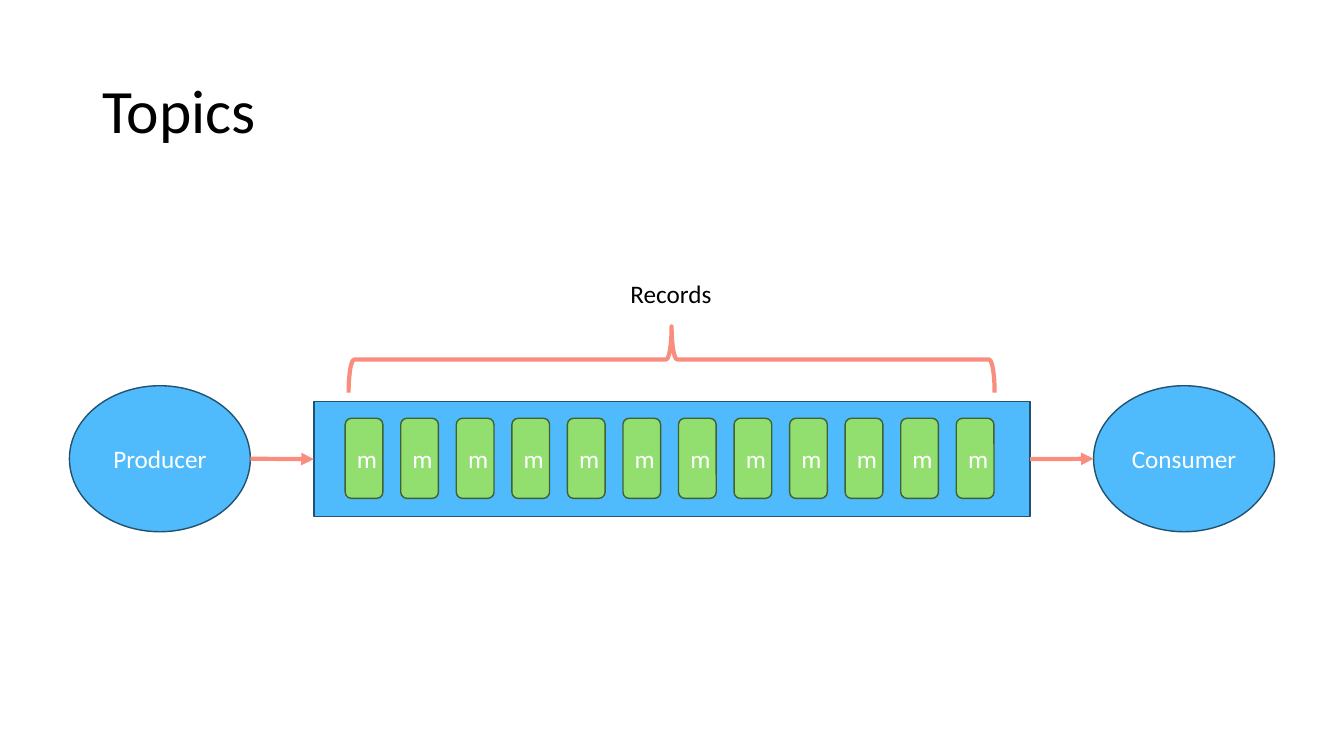
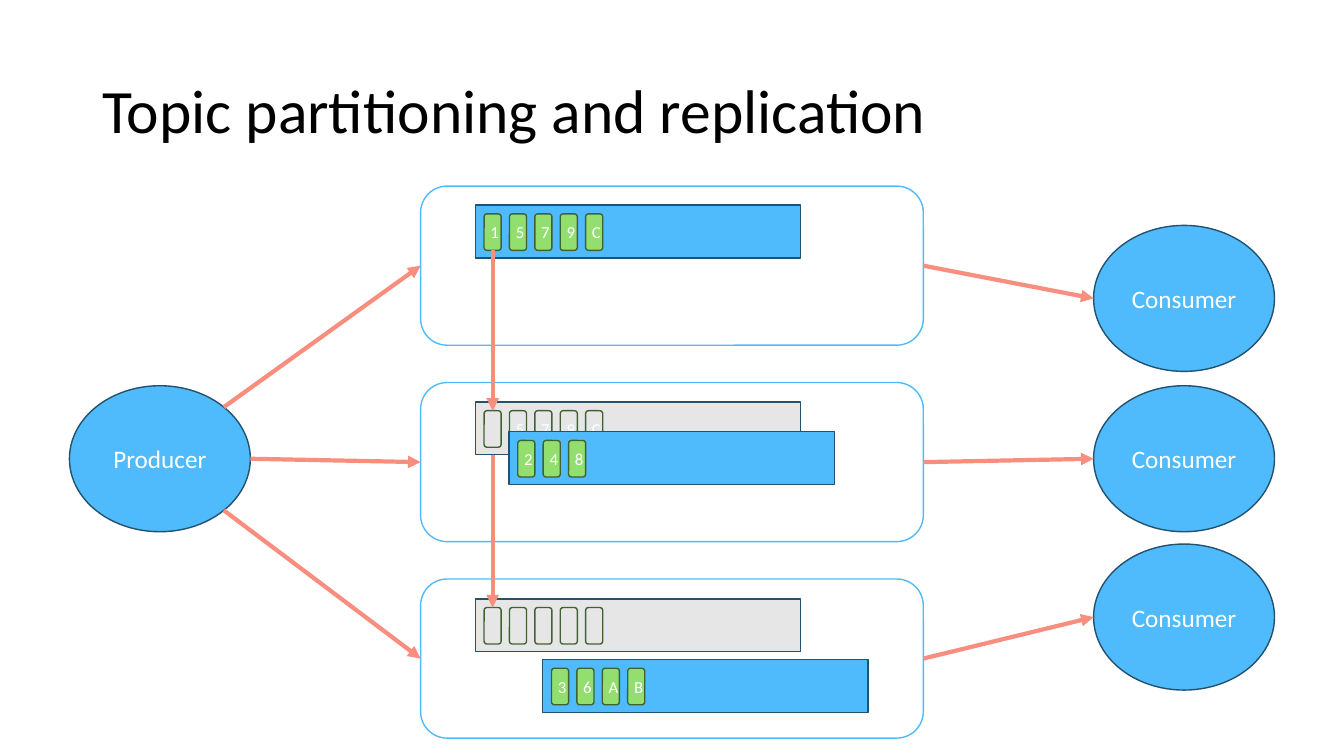
from dataclasses import dataclass
from math import cos, radians, sin
from typing import NamedTuple, Optional, Sequence, Union

from lxml.etree import SubElement
from pptx import Presentation
from pptx.dml.color import RGBColor
from pptx.enum.shapes import MSO_CONNECTOR, MSO_SHAPE
from pptx.enum.text import MSO_ANCHOR, MSO_AUTO_SIZE, PP_ALIGN
from pptx.oxml.ns import qn
from pptx.shapes.autoshape import Shape
from pptx.shapes.connector import Connector
from pptx.slide import Slide
from pptx.text.text import TextFrame
from pptx.util import Cm, Length, Pt

BLUE = RGBColor(0x4F, 0xBA, 0xFC)
DARK_BLUE = RGBColor(0x23, 0x52, 0x6E)
GREEN = RGBColor(0x92, 0xDF, 0x70)
DARK_GREEN = RGBColor(0x40, 0x62, 0x31)
CORAL = RGBColor(0xF9, 0x8D, 0x7E)
GREY = RGBColor(0xE7, 0xE6, 0xE6)
WHITE = RGBColor(0xFF, 0xFF, 0xFF)
BLACK = RGBColor(0x00, 0x00, 0x00)
FONT = "Calibri"

TOP, LEFT, BOTTOM, RIGHT = range(4)

PRODUCER_LEFT = 1.75
CONSUMER_LEFT = 27.56
MIDDLE_CLIENT_TOP = 9.72


class Area(NamedTuple):
    """Left, top, width and height in centimetres."""
    left: float
    top: float
    width: float
    height: float

    def lengths(self) -> list[Length]:
        return [Cm(value) for value in self]


class Point(NamedTuple):
    x: Length
    y: Length


class Joint(NamedTuple):
    """The middle of one side of a rectangle."""
    shape: Shape
    side: int


@dataclass(frozen=True)
class QueueStyle:
    """Size of a queue and of the records in it, in centimetres."""
    width: float
    height: float
    first_record: float
    record_top: float
    record_width: float
    record_height: float
    pitch: float
    text_size: int


@dataclass(frozen=True)
class Queue:
    """A queue with one label, possibly empty, for each record."""
    left: float
    top: float
    records: Sequence[str]
    style: QueueStyle
    replica: bool = False


TOPIC = QueueStyle(18.05, 2.9, 0.79, 0.42, 0.95, 2.02, 1.4, 18)
PARTITION = QueueStyle(8.2, 1.33, 0.22, 0.22, 0.43, 0.92, 0.64, 12)


def format_text(frame: TextFrame, text: str, size: int, color: RGBColor) -> None:
    frame.text = text
    font = frame.paragraphs[0].runs[0].font
    font.name = FONT
    font.size = Pt(size)
    font.color.rgb = color


def add_title(page: Slide, text: str) -> None:
    box = page.shapes.add_textbox(*Area(2.33, 1.01, 29.21, 3.68).lengths())
    frame = box.text_frame
    frame.word_wrap = True
    frame.vertical_anchor = MSO_ANCHOR.MIDDLE
    format_text(frame, text, 44, BLACK)
    frame.paragraphs[0].line_spacing = 0.9


def add_figure(shapes, preset: MSO_SHAPE, area: Area, fill: Optional[RGBColor],
               line: RGBColor, text: str = "", size: int = 18,
               weight: float = 1) -> Shape:
    """Add a preset shape to a page's or a group's shapes."""
    figure = shapes.add_shape(preset, *area.lengths())
    figure.shadow.inherit = False
    if fill is None:
        figure.fill.background()
    else:
        figure.fill.solid()
        figure.fill.fore_color.rgb = fill
    figure.line.color.rgb = line
    figure.line.width = Pt(weight)
    if text:
        frame = figure.text_frame
        frame.vertical_anchor = MSO_ANCHOR.MIDDLE
        format_text(frame, text, size, WHITE)
        frame.paragraphs[0].alignment = PP_ALIGN.CENTER
    return figure


def add_client(page: Slide, name: str, left: float,
               top: float = MIDDLE_CLIENT_TOP) -> Shape:
    return add_figure(page.shapes, MSO_SHAPE.OVAL, Area(left, top, 4.56, 3.68),
                      BLUE, DARK_BLUE, name)


def add_queue(page: Slide, queue: Queue) -> tuple[Shape, Shape]:
    """Draw a queue with its records; return its bar and first record."""
    style = queue.style
    shapes = page.shapes.add_group_shape().shapes
    bar = add_figure(shapes, MSO_SHAPE.RECTANGLE,
                     Area(queue.left, queue.top, style.width, style.height),
                     GREY if queue.replica else BLUE, DARK_BLUE)
    records = [
        add_figure(shapes, MSO_SHAPE.ROUNDED_RECTANGLE,
                   Area(queue.left + style.first_record + index * style.pitch,
                        queue.top + style.record_top,
                        style.record_width, style.record_height),
                   GREY if queue.replica else GREEN, DARK_GREEN,
                   label, style.text_size)
        for index, label in enumerate(queue.records)
    ]
    return bar, records[0]


def rim_point(ellipse: Shape, degrees: float) -> Point:
    """Point on an ellipse, clockwise from its right end."""
    across, down = ellipse.width / 2, ellipse.height / 2
    angle = radians(degrees)
    return Point(Length(round(ellipse.left + across * (1 + cos(angle)))),
                 Length(round(ellipse.top + down * (1 + sin(angle)))))


def add_arrow(page: Slide, start: Union[Point, Joint],
              end: Union[Point, Joint]) -> Connector:
    begin = start if isinstance(start, Point) else Point(Cm(0), Cm(0))
    finish = end if isinstance(end, Point) else Point(Cm(0), Cm(0))
    arrow = page.shapes.add_connector(MSO_CONNECTOR.STRAIGHT, *begin, *finish)
    if isinstance(start, Joint):
        arrow.begin_connect(*start)
    if isinstance(end, Joint):
        arrow.end_connect(*end)
    arrow.line.color.rgb = CORAL
    arrow.line.width = Pt(3)
    properties = arrow.element.spPr
    SubElement(properties.find(qn("a:ln")), qn("a:tailEnd"), type="triangle")
    SubElement(properties, qn("a:effectLst"))
    return arrow


def build_topics(page: Slide) -> None:
    add_title(page, "Topics")
    topic, _ = add_queue(page, Queue(7.91, 10.12, "m" * 12, TOPIC))
    producer = add_client(page, "Producer", PRODUCER_LEFT)
    consumer = add_client(page, "Consumer", CONSUMER_LEFT)
    add_arrow(page, rim_point(producer, 0), Joint(topic, LEFT))
    add_arrow(page, Joint(topic, RIGHT), rim_point(consumer, 180))

    brace = add_figure(page.shapes, MSO_SHAPE.LEFT_BRACE,
                       Area(16.09, 0.92, 1.67, 16.28), None, CORAL, weight=3)
    brace.rotation = 90
    caption = page.shapes.add_textbox(*Area(15.64, 6.88, 2.57, 1.02).lengths())
    caption.text_frame.word_wrap = False
    caption.text_frame.auto_size = MSO_AUTO_SIZE.SHAPE_TO_FIT_TEXT
    format_text(caption.text_frame, "Records", 18, BLACK)


def build_partitioning(page: Slide) -> None:
    add_title(page, "Topic partitioning and replication")
    brokers = [
        add_figure(page.shapes, MSO_SHAPE.ROUNDED_RECTANGLE,
                   Area(10.6, 4.69 + row * 4.95, 12.67, 4.01), WHITE, BLUE)
        for row in range(3)
    ]

    replicated = "1579C"
    left = 11.98
    _, source = add_queue(page, Queue(left, 5.17, replicated, PARTITION))
    _, last_replica = add_queue(
        page, Queue(left, 15.09, [""] * len(replicated), PARTITION, replica=True))
    add_queue(page, Queue(13.68, 16.62, "36AB", PARTITION))
    add_arrow(page, Joint(source, BOTTOM), Joint(last_replica, TOP))
    # The middle replica hides part of the longer arrow.
    _, middle_replica = add_queue(
        page, Queue(left, 10.13, ["", *replicated[1:]], PARTITION, replica=True))
    add_arrow(page, Joint(source, BOTTOM), Joint(middle_replica, TOP))
    add_queue(page, Queue(12.83, 10.88, "248", PARTITION))

    producer = add_client(page, "Producer", PRODUCER_LEFT)
    consumer_tops = (5.68, MIDDLE_CLIENT_TOP, 13.71)
    for broker, angle, top in zip(brokers, (-45, 0, 45), consumer_tops):
        consumer = add_client(page, "Consumer", CONSUMER_LEFT, top)
        add_arrow(page, rim_point(producer, angle), Joint(broker, LEFT))
        add_arrow(page, Joint(broker, RIGHT), rim_point(consumer, 180))


def main() -> None:
    deck = Presentation()
    deck.slide_width = Cm(33.87)
    deck.slide_height = Cm(19.05)
    blank = deck.slide_layouts[6]
    for build in (build_topics, build_partitioning):
        build(deck.slides.add_slide(blank))
    deck.save("out.pptx")


if __name__ == "__main__":
    main()
